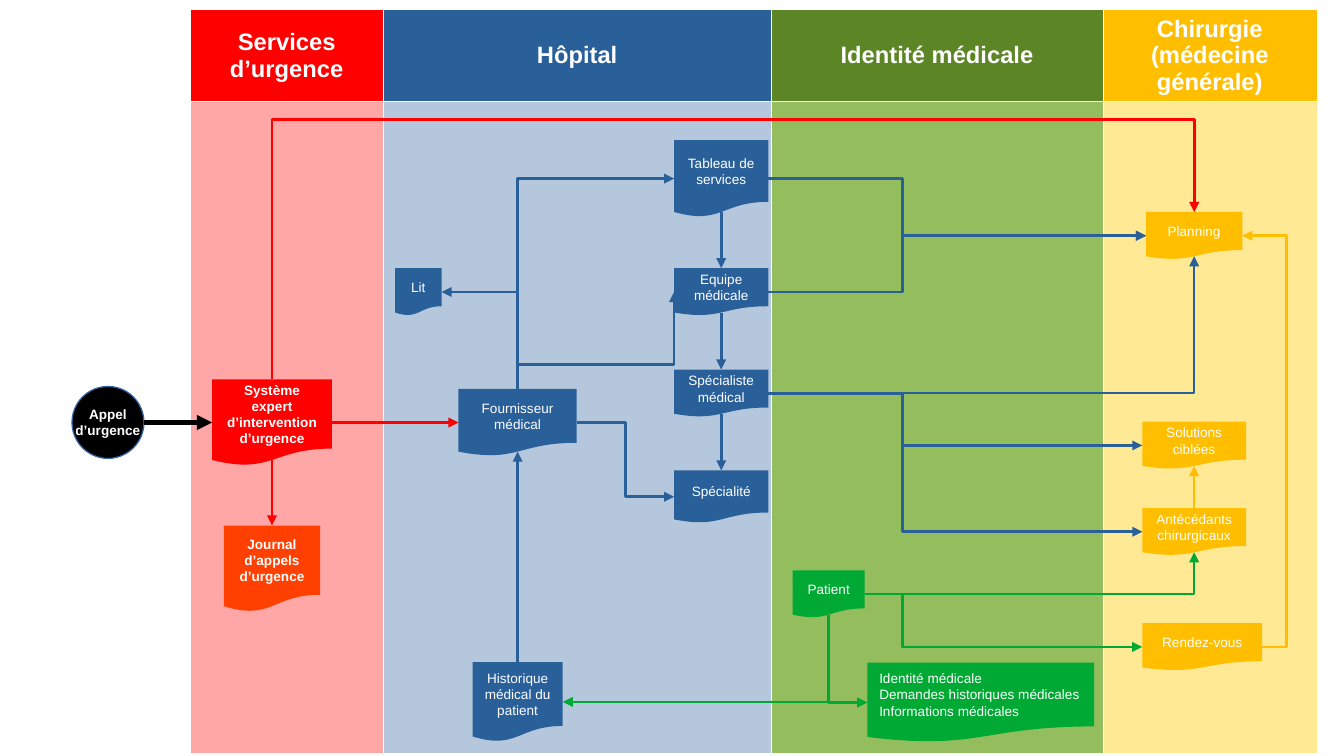
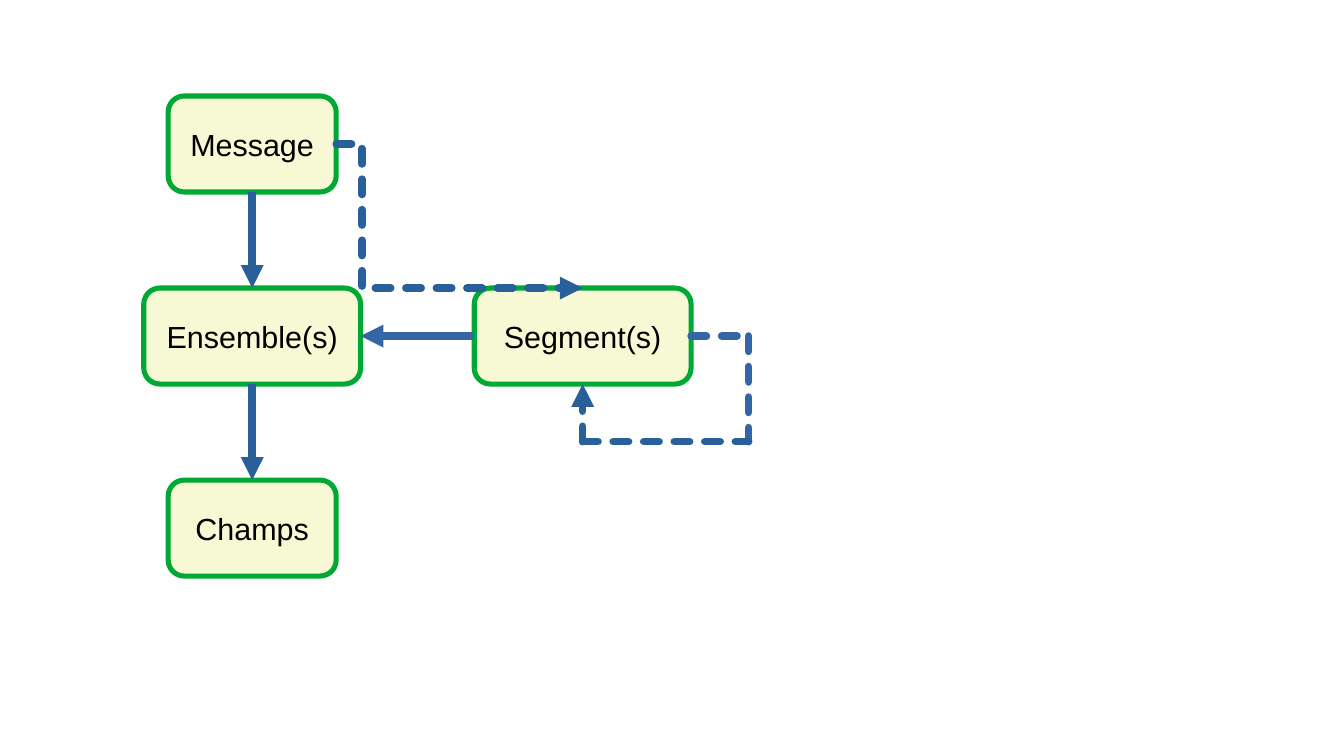
import pptx
import pptx.util
import pptx.dml.color
import pptx.enum.dml
import pptx.enum.shapes
import pptx.enum.text
import pptx.oxml.ns
import lxml.etree

Pt = pptx.util.Pt
qn = pptx.oxml.ns.qn
RGB = pptx.dml.color.RGBColor.from_string
SHAPE = pptx.enum.shapes.MSO_SHAPE
CONNECTOR = pptx.enum.shapes.MSO_CONNECTOR
ALIGN = pptx.enum.text.PP_ALIGN
MIDDLE = pptx.enum.text.MSO_ANCHOR.MIDDLE

COLORS = {
    "white": "FFFFFF", "black": "000000",
    "red": "FF0000", "orange": "FF4000", "blue": "2A6099",
    "steel": "3465A4", "green": "00A933", "olive": "5C8526",
    "yellow": "FFBF00", "cream": "F6F9D4",
    "pale red": "FFA6A6", "pale blue": "B4C7DC",
    "pale green": "94BD5E", "pale yellow": "FFE994",
}
FONT = "Arial"
TOP, LEFT, BOTTOM, RIGHT = range(4)
DOCUMENT_BOTTOM = 0.934  # height of the wavy edge at its middle


def write(frame, text, size=8, bold=False, color="white", align=ALIGN.CENTER,
          wrap=True):
    frame.word_wrap = wrap
    for index, line in enumerate(text.split("\n")):
        para = frame.add_paragraph() if index else frame.paragraphs[0]
        para.alignment = align
        span = para.add_run()
        span.text = line
        span.font.name = FONT
        span.font.size = Pt(size)
        span.font.bold = bold
        span.font.color.rgb = RGB(COLORS[color])


def link(page, start, end, color, route="line", turn=None, width=1.5,
         dashed=False, arrow=True):
    """Join two ends, each (shape, side) or (x, y); route lists the directions
    of the legs, and turn places the middle leg."""
    points = []
    for first, second in (start, end):
        if isinstance(first, int):
            points.append((first, second))
            continue
        wavy = first.auto_shape_type == SHAPE.FLOWCHART_DOCUMENT
        across, down = {TOP: (0.5, 0), LEFT: (0, 0.5), RIGHT: (1, 0.5),
                        BOTTOM: (0.5, DOCUMENT_BOTTOM if wavy else 1)}[second]
        points.append((first.left + first.width * across,
                       first.top + first.height * down))
    (x1, y1), (x2, y2) = points
    straight = route == "line"
    connector = page.shapes.add_connector(
        CONNECTOR.STRAIGHT if straight else CONNECTOR.ELBOW, 0, 0, 0, 0)
    if not isinstance(start[0], int):
        connector.begin_connect(*start)
    if not isinstance(end[0], int):
        connector.end_connect(*end)

    # Frame of the connector: a quarter turn when the first leg is vertical
    dx, dy = x2 - x1, y2 - y1
    upright = route.startswith("v")
    wide, high = (abs(dy), abs(dx)) if upright else (abs(dx), abs(dy))
    connector.left = int((x1 + x2 - wide) / 2)
    connector.top = int((y1 + y2 - high) / 2)
    connector.width, connector.height = int(wide), int(high)
    properties = connector._element.spPr
    frame = properties.find(qn("a:xfrm"))
    flips = (dy < 0, dx > 0) if upright else (dx < 0, dy < 0)
    for name, flipped in zip(("flipH", "flipV"), flips):
        frame.set(name, str(int(flipped)))
    if upright:
        frame.set("rot", "5400000")
    if not straight:
        geometry = properties.find(qn("a:prstGeom"))
        geometry.set("prst", f"bentConnector{len(route)}")
    if turn is not None:
        ratio = (Pt(turn) - y1) / dy if upright else (Pt(turn) - x1) / dx
        lxml.etree.SubElement(geometry.find(qn("a:avLst")), qn("a:gd"),
                              name="adj1", fmla=f"val {round(ratio * 100000)}")

    # Stroke, arrowhead, no shadow
    connector.line.color.rgb = RGB(COLORS[color])
    connector.line.width = Pt(width)
    stroke = properties.find(qn("a:ln"))
    if dashed:
        connector.line.dash_style = pptx.enum.dml.MSO_LINE.SQUARE_DOT
        stroke.set("cap", "rnd")
    if arrow:
        lxml.etree.SubElement(stroke, qn("a:tailEnd"), type="triangle")
    lxml.etree.SubElement(properties, qn("a:effectLst"))


deck = pptx.Presentation()
deck.slide_width, deck.slide_height = Pt(793.44), Pt(446.4)
blank = deck.slide_layouts[6]

# Slide 1: swimlanes as a table
page = deck.slides.add_slide(blank)
lanes = [
    ("Services d’urgence", 113.5, "red", "pale red"),
    ("Hôpital", 229.5, "blue", "pale blue"),
    ("Identité médicale", 195.5, "olive", "pale green"),
    ("Chirurgie (médecine générale)", 126.5, "yellow", "pale yellow"),
]
table = page.shapes.add_table(2, len(lanes), Pt(112.5), Pt(5.5),
                              Pt(665), Pt(439)).table
table.rows[0].height, table.rows[1].height = Pt(54.5), Pt(384.5)
for column, (title, width, head_color, body_color) in enumerate(lanes):
    table.columns[column].width = Pt(width)
    for row, fill in enumerate((head_color, body_color)):
        cell = table.cell(row, column)
        for side in ("lnL", "lnR", "lnT", "lnB"):
            border = lxml.etree.SubElement(
                cell._tc.get_or_add_tcPr(), qn(f"a:{side}"), w="762")
            solid = lxml.etree.SubElement(border, qn("a:solidFill"))
            lxml.etree.SubElement(solid, qn("a:srgbClr"), val=COLORS["white"])
        cell.fill.solid()
        cell.fill.fore_color.rgb = RGB(COLORS[fill])
        cell.vertical_anchor = MIDDLE
        cell.margin_top = cell.margin_bottom = Pt(2)
    write(table.cell(0, column).text_frame, title, size=14, bold=True)

# Document boxes: name, text, colour, left, top, width, height
documents = [
    ("system", "Système expert d’intervention d’urgence", "red",
     125.3, 224, 70.6, 51),
    ("journal", "Journal d’appels d’urgence", "orange", 132.2, 310.3, 56.8, 51),
    ("bed", "Lit", "blue", 233.3, 158.4, 27.5, 28),
    ("provider", "Fournisseur médical", "blue", 270.7, 229.7, 69.8, 39.6),
    ("history", "Historique médical du patient", "blue", 279, 391, 53.2, 47),
    ("services", "Tableau de services", "blue", 398, 82.8, 55.6, 45.4),
    ("team", "Equipe médicale", "blue", 398, 158.4, 55.6, 28),
    ("specialist", "Spécialiste médical", "blue", 398, 218.2, 55.6, 28),
    ("specialty", "Spécialité", "blue", 398, 277.8, 55.6, 31),
    ("patient", "Patient", "green", 468, 336.8, 42.5, 28),
    ("identity", "Identité médicale\nDemandes historiques médicales\n"
     "Informations médicales", "green", 512, 391.3, 134, 47),
    ("planning", "Planning", "yellow", 676.6, 125.2, 56.8, 28),
    ("solutions", "Solutions ciblées", "yellow", 674.4, 249, 61.2, 28),
    ("surgery", "Antécédants chirurgicaux", "yellow", 674.4, 300, 61.2, 28),
    ("appointment", "Rendez-vous", "yellow", 674.4, 368, 70.8, 28),
]
boxes = {}
for name, text, color, *place in documents:
    box = page.shapes.add_shape(SHAPE.FLOWCHART_DOCUMENT, *map(Pt, place))
    box.shadow.inherit = False
    box.fill.solid()
    box.fill.fore_color.rgb = RGB(COLORS[color])
    box.line.fill.background()
    box.text_frame.vertical_anchor = MIDDLE
    write(box.text_frame, text, bold=color in ("red", "orange"),
          align=ALIGN.LEFT if "\n" in text else ALIGN.CENTER)
    boxes[name] = box

# Arrows: start, side, end, side, colour, route, turn
lane_turn = 532.8  # shared vertical trunk in the identity lane
arrows = [
    ("provider", TOP, "services", LEFT, "blue", "vh", None),
    ("history", TOP, "provider", BOTTOM, "blue", "line", None),
    ("patient", RIGHT, "appointment", LEFT, "green", "hvh", lane_turn),
    ("appointment", RIGHT, "planning", RIGHT, "yellow", "hvh", 759.6),
    ("specialist", RIGHT, "planning", BOTTOM, "blue", "hv", None),
    ("specialist", BOTTOM, "specialty", TOP, "blue", "line", None),
    ("provider", RIGHT, "specialty", LEFT, "blue", "hvh", 369.2),
    ("provider", TOP, "bed", RIGHT, "blue", "vh", None),
    ("system", TOP, "planning", TOP, "red", "vhv", 70.6),
    ("system", BOTTOM, "journal", TOP, "red", "line", None),
    ("system", RIGHT, "provider", LEFT, "red", "line", None),
    ("patient", BOTTOM, "identity", LEFT, "green", "vh", None),
    ("team", BOTTOM, "specialist", TOP, "blue", "line", None),
    ("team", RIGHT, "planning", LEFT, "blue", "hvh", lane_turn),
    ("services", RIGHT, "planning", LEFT, "blue", "hvh", lane_turn),
    ("patient", RIGHT, "surgery", BOTTOM, "green", "hv", None),
    ("patient", BOTTOM, "history", RIGHT, "green", "vh", None),
    ("specialist", RIGHT, "solutions", LEFT, "blue", "hvh", lane_turn),
    ("specialist", RIGHT, "surgery", LEFT, "blue", "hvh", lane_turn),
    ("surgery", TOP, "solutions", BOTTOM, "yellow", "line", None),
    ("services", BOTTOM, "team", TOP, "blue", "line", None),
]
for start, start_side, end, end_side, color, route, turn in arrows:
    link(page, (boxes[start], start_side), (boxes[end], end_side),
         color, route, turn)
link(page, (Pt(305.6), Pt(229.7)), (Pt(398), Pt(172.4)), "blue", "vhv", 215.4)

# Emergency call
call = page.shapes.add_shape(SHAPE.OVAL, Pt(42.5), Pt(228.2), Pt(42.5), Pt(42.5))
call.shadow.inherit = False
call.fill.solid()
call.fill.fore_color.rgb = RGB(COLORS["black"])
call.line.color.rgb = RGB(COLORS["steel"])
call.line.width = Pt(0)
call.text_frame.vertical_anchor = MIDDLE
write(call.text_frame, "Appel\nd’urgence", bold=True, wrap=False)
link(page, (Pt(85), Pt(249.5)), (boxes["system"], LEFT), "black", width=3)

# Slide 2: message structure
page = deck.slides.add_slide(blank)
height, row_step = 56.7, 113.4
nodes = {}
for text, center, row, width in (
        ("Message", 148.9, 0, 99.2), ("Champs", 148.9, 2, 99.2),
        ("Segment(s)", 344, 1, 128), ("Ensemble(s)", 148.9, 1, 128)):
    node = page.shapes.add_shape(
        SHAPE.ROUNDED_RECTANGLE, Pt(center - width / 2),
        Pt(height + row * row_step), Pt(width), Pt(height))
    node.shadow.inherit = False
    node.adjustments[0] = 0.167
    node.fill.solid()
    node.fill.fore_color.rgb = RGB(COLORS["cream"])
    node.line.color.rgb = RGB(COLORS["green"])
    node.line.width = Pt(3)
    node.text_frame.vertical_anchor = MIDDLE
    write(node.text_frame, text, size=18, color="black")
    nodes[text] = node

# Solid arrows
message, group, segment, field = (
    nodes[name] for name in ("Message", "Ensemble(s)", "Segment(s)", "Champs"))
for start, end, color in (
        ((message, BOTTOM), (group, TOP), "blue"),
        ((group, BOTTOM), (field, TOP), "blue"),
        ((segment, LEFT), (group, RIGHT), "steel")):
    link(page, start, end, color, width=4.5)

# Dashed arrow from message to segment, and the loop back to the segment
link(page, (Pt(198.5), Pt(85)), (Pt(344), Pt(170.1)), "blue", "hvh", 213.8,
     width=4.5, dashed=True)
loop_top = (Pt(442), Pt(198.45))
loop_right = (Pt(442), Pt(260.8))
loop_left = (Pt(344), Pt(260.8))
for start, end, color, arrow in (
        ((segment, RIGHT), loop_top, "steel", False),
        (loop_top, loop_right, "steel", False),
        (loop_left, loop_right, "blue", False),
        (loop_left, (segment, BOTTOM), "blue", True)):
    link(page, start, end, color, width=4.5, dashed=True, arrow=arrow)

deck.save("out.pptx")
